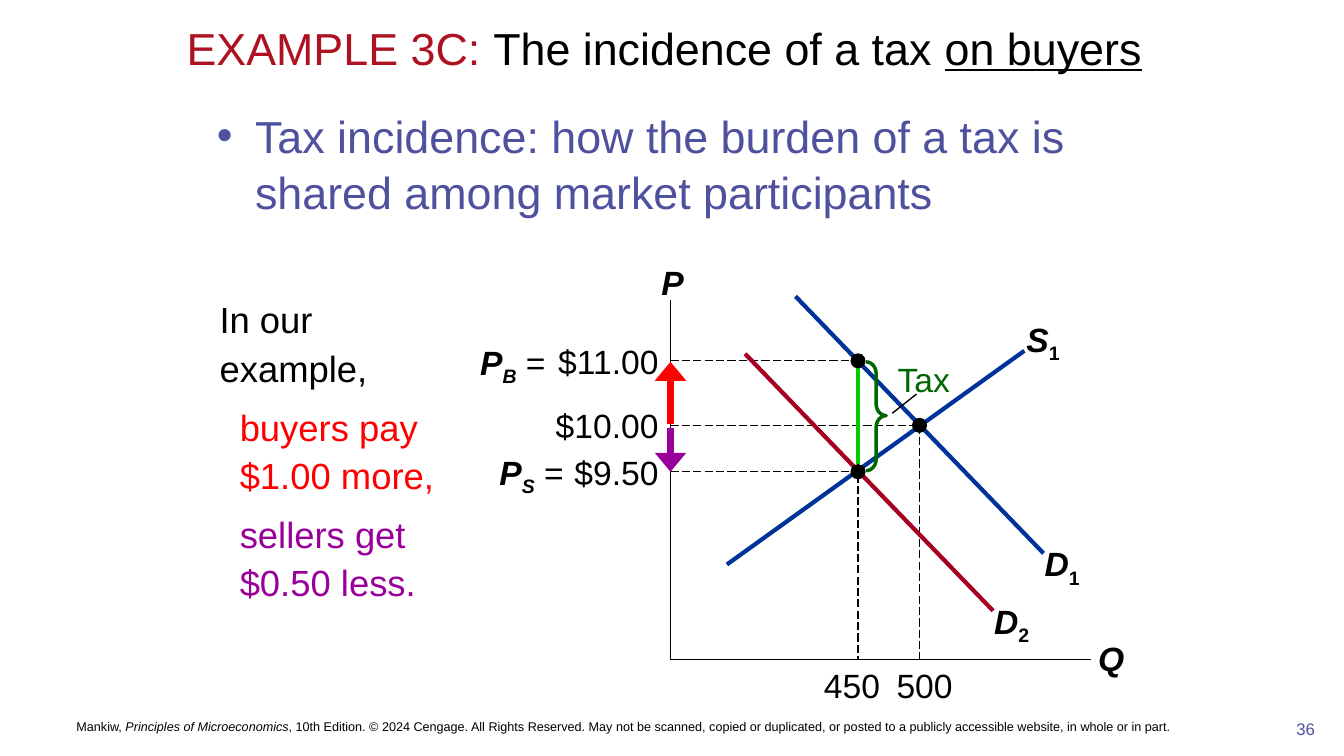
from lxml.etree import SubElement
from pptx import Presentation
from pptx.dml.color import RGBColor
from pptx.enum.dml import MSO_LINE
from pptx.enum.shapes import MSO_CONNECTOR, MSO_SHAPE
from pptx.enum.text import MSO_ANCHOR, MSO_AUTO_SIZE, PP_ALIGN
from pptx.oxml.ns import qn
from pptx.util import Inches, Pt

BLACK, BLUE, WINE, GREEN = "000000", "003399", "A50021", "006600"
INDIGO, RED, PURPLE = "4E519E", "FF0000", "990099"
LEFT, MID, RIGHT = PP_ALIGN.LEFT, PP_ALIGN.CENTER, PP_ALIGN.RIGHT


def paint(hue):
    return RGBColor.from_string(hue)


class Board:
    """Holds the slide and its text style, and draws each kind of element."""

    def __init__(self, slide, font="Arial", size=24):
        self.slide, self.font, self.size = slide, font, size

    def style(self, run, size=None, hue=BLACK, bold=False, slant=False, under=False, sub=False):
        font = run.font
        font.name, font.size = self.font, Pt(size or self.size)
        font.bold, font.italic, font.underline = bold, slant, under
        font.color.rgb = paint(hue)
        if sub:
            run._r.get_or_add_rPr().set("baseline", "-25000")

    def fill(self, para, parts, align, **base):
        """Write (text, style) parts as the runs of a paragraph."""
        para.alignment = align
        for words, extra in parts:
            run = para.add_run()
            run.text = words
            self.style(run, **{**base, **extra})

    def place(self, shape, box, anchor=MSO_ANCHOR.TOP):
        shape.left, shape.top, shape.width, shape.height = map(Inches, box)
        frame = shape.text_frame
        frame.word_wrap, frame.auto_size = True, MSO_AUTO_SIZE.NONE
        frame.vertical_anchor = anchor
        return frame

    def text(self, box, parts, align=MID, anchor=MSO_ANCHOR.TOP, **base):
        shape = self.slide.shapes.add_textbox(*map(Inches, box))
        frame = self.place(shape, box, anchor)
        if isinstance(parts, str):
            parts = [(parts, {})]
        self.fill(frame.paragraphs[0], parts, align, **base)
        return frame

    def value(self, box, words, align=MID, right=0):
        """Write a number with tight margins."""
        frame = self.text(box, words, align)
        frame.margin_left = frame.margin_top = frame.margin_bottom = 0
        frame.margin_right = Inches(right)

    def name(self, left, top, sign, mark="", width=0.67):
        """Write a bold italic letter with an upright subscript."""
        parts = [(sign, {"slant": True})]
        if mark:
            parts.append((mark, {"sub": True}))
        self.text((left, top, width, 0.5), parts, bold=True)

    def line(self, start, end, hue=BLACK, width=1, dash=False, arrow=False):
        link = self.slide.shapes.add_connector(
            MSO_CONNECTOR.STRAIGHT, *map(Inches, (*start, *end)))
        link.line.color.rgb = paint(hue)
        link.line.width = Pt(width)
        if dash:
            link.line.dash_style = MSO_LINE.LONG_DASH
        if arrow:
            SubElement(link.line._get_or_add_ln(), qn("a:tailEnd"), type="triangle", w="lg", len="med")
        SubElement(link._element.spPr, qn("a:effectLst"))

    def dot(self, x, y, size=0.15):
        box = (x - size / 2, y - size / 2, size, size)
        shape = self.slide.shapes.add_shape(MSO_SHAPE.OVAL, *map(Inches, box))
        shape.shadow.inherit = False
        shape.fill.solid()
        shape.fill.fore_color.rgb = paint(BLACK)
        shape.line.fill.background()

    def brace(self, box, hue):
        shape = self.slide.shapes.add_shape(MSO_SHAPE.RIGHT_BRACE, *map(Inches, box))
        shape.shadow.inherit = False
        shape.adjustments[0], shape.adjustments[1] = 0.571, 0.494
        shape.fill.background()
        shape.line.color.rgb = paint(hue)
        shape.line.width = Pt(2.5)


def head(board):
    title, body = board.slide.placeholders
    frame = board.place(title, (1.75, 0.11, 9.92, 0.72), MSO_ANCHOR.MIDDLE)
    board.fill(frame.paragraphs[0], [
        ("EXAMPLE 3C: ", {"hue": "AE1221"}),
        ("The incidence of a tax ", {}),
        ("on buyers", {"under": True})], LEFT, size=32)

    frame = board.place(body, (2.05, 1, 9.37, 1.55))
    para = frame.paragraphs[0]
    para.line_spacing, para.space_before = 1.05, Pt(0)
    props = para._p.get_or_add_pPr()
    props.set("marL", str(Inches(0.38)))
    props.set("indent", str(Inches(-0.38)))
    SubElement(props, qn("a:buChar"), char="•")
    board.fill(para, [("Tax incidence: how the burden of a tax is shared among "
                       "market participants", {})], LEFT, size=32, hue=INDIGO)


def graph(board):
    axis, base = 6.65, 6.54
    low, high = 8.51, 9.12
    board.line((axis, 2.98), (axis, base))
    board.line((axis, base), (10.82, base))
    board.name(6.44, 2.55, "P", width=0.46)
    board.name(10.77, 6.28, "Q", width=0.5)

    points = [(low, 3.58, "$11.00"), (high, 4.22, "$10.00"), (low, 4.68, "$9.50")]
    for x, y, price in points:
        board.line((axis, y), (x, y), width=0.75, dash=True)
        board.value((5.35, y - 0.2, 1.28, 0.4), price, RIGHT, 0.1)
    for x, top, count, left in [(low, 3.58, "450", 8.13), (high, 4.22, "500", 8.85)]:
        board.line((x, top), (x, base), width=0.75, dash=True)
        board.value((left, 6.6, 0.64, 0.4), count)

    for start, end, hue, sign, mark, rise in [
            ((7.21, 5.6), (10.16, 3.48), BLUE, "S", "1", 0.37),
            ((7.89, 2.94), (10.35, 5.49), BLUE, "D", "1", 0.15),
            ((7.39, 3.51), (9.85, 6.06), WINE, "D", "2", 0.15)]:
        board.line(start, end, hue, 3)
        board.name(end[0] - 0.15, end[1] - rise, sign, mark)

    for left, top, mark in [(4.63, 3.34, "B"), (4.81, 4.43, "S")]:
        board.text((left, top, 0.88, 0.5), [
            ("P", {"bold": True, "slant": True}),
            (mark, {"bold": True, "slant": True, "sub": True}),
            (" =", {})], RIGHT)

    board.line((low, 4.6), (low, 3.65), "00CC00", 3)
    for x, y, price in points:
        board.dot(x, y)
    board.brace((8.59, 3.59, 0.2, 1.08), GREEN)
    board.text((8.75, 3.51, 0.77, 0.5), "Tax", RIGHT, hue=GREEN)
    board.line((8.85, 4.1), (9.09, 3.91))
    board.line((axis, 4.21), (axis, 3.59), RED, 4.5, arrow=True)
    board.line((axis, 4.25), (axis, 4.68), PURPLE, 4.5, arrow=True)


def story(board):
    frame = board.text((2.08, 2.86, 2.43, 3.42), "In our example,", LEFT, size=26)
    frame.paragraphs[0].line_spacing = 1.1
    for words, hue in [("buyers pay\v$1.00 more,", RED), ("sellers get\v$0.50 less.", PURPLE)]:
        para = frame.add_paragraph()
        para.text = words
        para.line_spacing, para.space_before = 1.1, Pt(8)
        para._p.get_or_add_pPr().set("marL", str(Inches(0.2)))
        for run in para.runs:
            board.style(run, 26, hue)


def foot(board):
    board.text((12.57, 7.08, 0.76, 0.41), "36", size=12, hue=INDIGO)
    board.text((0.66, 6.92, 12.11, 0.58), [
        ("Mankiw, ", {}),
        ("Principles of Microeconomics", {"slant": True}),
        (", 10th Edition. © 2024 Cengage. All Rights Reserved. May not be scanned, copied or "
         "duplicated, or posted to a publicly accessible website, in whole or in part.", {})],
        LEFT, MSO_ANCHOR.MIDDLE, size=9)


def main():
    deck = Presentation()
    deck.slide_width, deck.slide_height = Inches(13.33), Inches(7.5)
    board = Board(deck.slides.add_slide(deck.slide_layouts[1]))
    for draw in (head, graph, story, foot):
        draw(board)
    deck.save("out.pptx")


if __name__ == "__main__":
    main()
